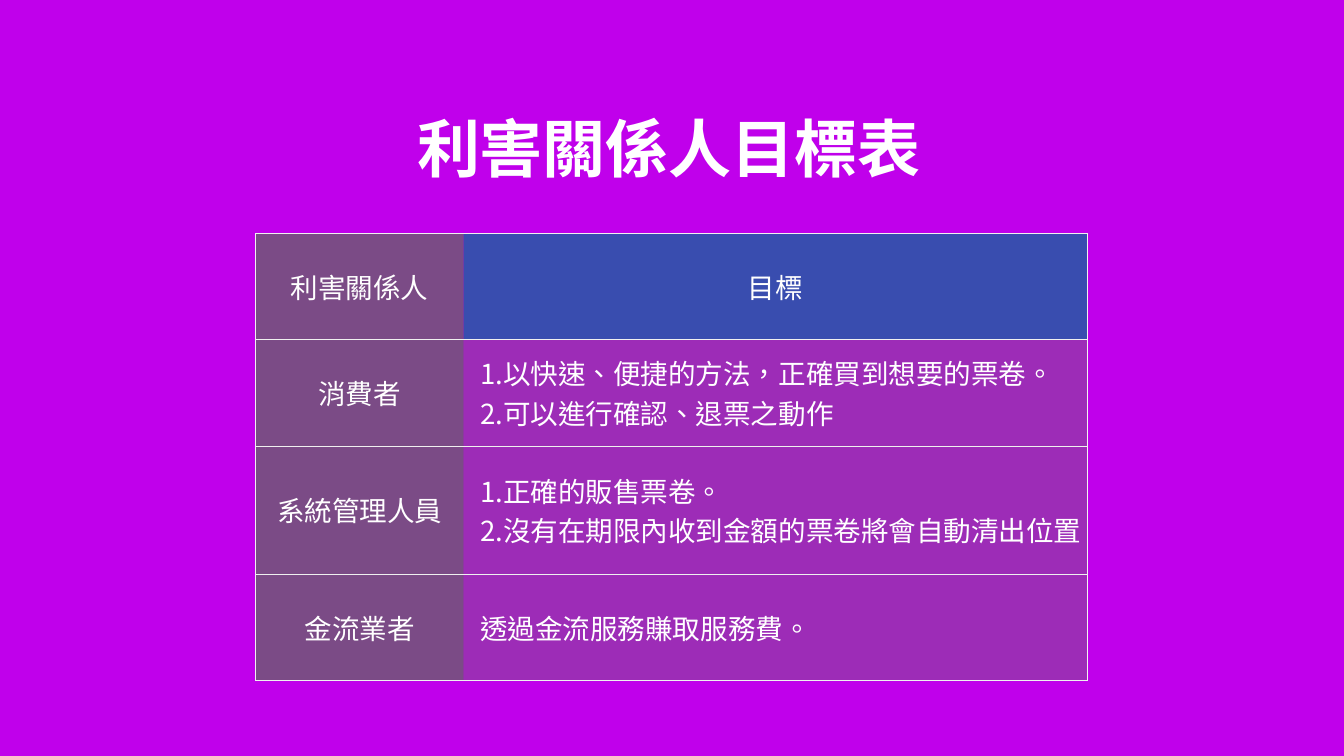
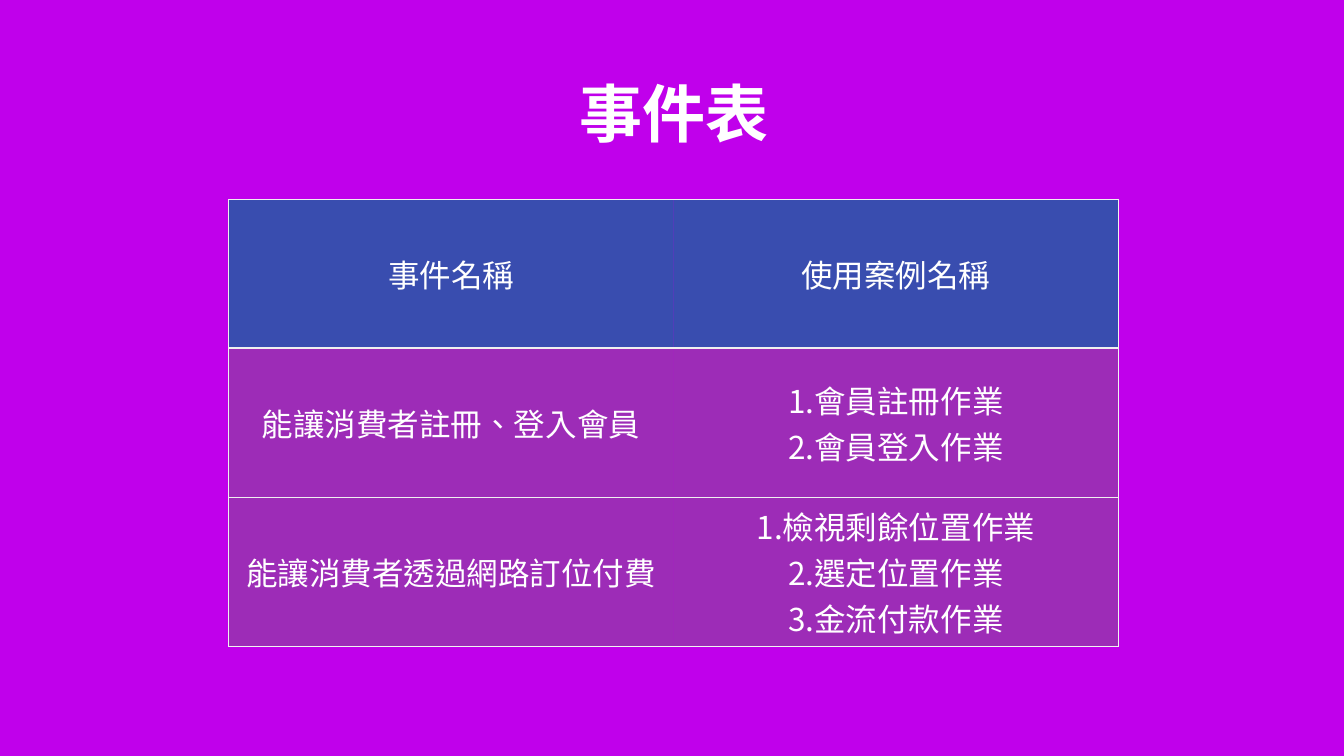
from dataclasses import dataclass

from lxml import etree
from pptx import Presentation
from pptx import util as u
from pptx.dml.color import RGBColor
from pptx.enum import text
from pptx.oxml import ns


# Theme: colours as (hex, opacity in percent), sizes in points
@dataclass(frozen=True)
class Theme:
    back: str = "C000EB"
    ink: str = "FFFFFF"
    rule: str = "F0F0F0"
    head: tuple = ("1861A1", 80)
    side: tuple = ("656565", 75)
    body: tuple = ("6D6D6D", 41)
    title_font: str = "Roboto"
    cell_font: str = "Noto Sans CJK SC"
    title_size: int = 64
    inset: float = 0.16
    first_indent: float = 0.44


THEME = Theme()
SLIDE_SIZE = (48.16, 27.1)
TITLE_SIZE = (31.9, 3.81)

# Content: lengths in centimetres, each cell is a list of lines
SLIDES = [
    {
        "title": "利害關係人目標表", "title_at": (8.02, 3.36),
        "table_at": (9.17, 8.36), "columns": (7.44, 22.35), "row": 3.81,
        "size": 28, "side_column": True,
        "rows": [
            (["利害關係人"], ["目標"]),
            (["消費者"], ["1.以快速、便捷的方法，正確買到想要的票卷。",
                       "2.可以進行確認、退票之動作"]),
            (["系統管理人員"], ["1.正確的販售票卷。",
                          "2.沒有在期限內收到金額的票卷將會自動清出位置"]),
            (["金流業者"], ["透過金流服務賺取服務費。"]),
        ],
    },
    {
        "title": "事件表", "title_at": (8.2, 2.13),
        "table_at": (8.2, 7.14), "columns": (15.93, 15.95), "row": 5.34,
        "size": 32, "side_column": False,
        "rows": [
            (["事件名稱"], ["使用案例名稱"]),
            (["能讓消費者註冊、登入會員"], ["1.會員註冊作業", "2.會員登入作業"]),
            (["能讓消費者透過網路訂位付費"],
             ["1.檢視剩餘位置作業", "2.選定位置作業", "3.金流付款作業"]),
        ],
    },
]


def write(frame, lines, font, size, bold=False, centred=True):
    """Fill a text frame with one paragraph per line."""
    for number, line in enumerate(lines):
        para = frame.add_paragraph() if number else frame.paragraphs[0]
        para.alignment = text.PP_ALIGN.CENTER if centred else text.PP_ALIGN.LEFT
        if not centred:
            props = para._p.get_or_add_pPr()
            props.set("marL", "0")
            props.set("indent", str(u.Cm(THEME.first_indent)))
        span = para.add_run()
        span.text = line
        span.font.name, span.font.size, span.font.bold = font, u.Pt(size), bold
        span.font.color.rgb = RGBColor.from_string(THEME.ink)
        props = span._r.get_or_add_rPr()
        props.set("lang", "zh-TW")
        etree.SubElement(props, ns.qn("a:ea"), typeface=font)


def set_margins(holder):
    for side in ("left", "right", "top", "bottom"):
        setattr(holder, f"margin_{side}", u.Cm(THEME.inset))


def paint(cell, colour, opacity):
    cell.fill.solid()
    cell.fill.fore_color.rgb = RGBColor.from_string(colour)
    shade = cell._tc.tcPr.find(".//" + ns.qn("a:srgbClr"))
    etree.SubElement(shade, ns.qn("a:alpha"), val=str(opacity * 1000))


def set_borders(cell, **widths):
    """Widths in points for L, R, T and B; zero hides the line."""
    for place, (side, width) in enumerate(widths.items()):
        line = etree.Element(ns.qn(f"a:ln{side}"), w=str(u.Pt(width)))
        if width:
            fill = etree.SubElement(line, ns.qn("a:solidFill"))
            etree.SubElement(fill, ns.qn("a:srgbClr"), val=THEME.rule)
        else:
            etree.SubElement(line, ns.qn("a:noFill"))
        cell._tc.tcPr.insert(place, line)


def add_title(page, content):
    box = page.shapes.title
    box.left, box.top = map(u.Cm, content["title_at"])
    box.width, box.height = map(u.Cm, TITLE_SIZE)
    frame = box.text_frame
    frame.auto_size = text.MSO_AUTO_SIZE.NONE
    frame.word_wrap = True
    frame.vertical_anchor = text.MSO_ANCHOR.MIDDLE
    set_margins(frame)
    write(frame, [content["title"]], THEME.title_font, THEME.title_size, bold=True)


def add_goal_table(page, content):
    rows, columns = content["rows"], content["columns"]
    left, top = content["table_at"]
    table = page.shapes.add_table(
        len(rows), len(columns), u.Cm(left), u.Cm(top),
        u.Cm(sum(columns)), u.Cm(content["row"] * len(rows))).table
    table.first_row = table.horz_banding = False
    for column, width in zip(table.columns, columns):
        column.width = u.Cm(width)
    for r, row in enumerate(rows):
        table.rows[r].height = u.Cm(content["row"])
        for c, lines in enumerate(row):
            cell = table.cell(r, c)
            side = content["side_column"] and c == 0
            head = r == 0 and not side
            set_margins(cell)
            cell.vertical_anchor = text.MSO_ANCHOR.MIDDLE
            paint(cell, *(THEME.side if side else THEME.head if head else THEME.body))
            above = 1 if r == 0 else 2 if r == 1 and not side else 0.5
            set_borders(cell, L=int(c == 0), R=int(c == len(columns) - 1),
                        T=above, B=2 if head else 0.5)
            write(cell.text_frame, lines, THEME.cell_font, content["size"],
                  centred=r == 0 or c == 0 or not content["side_column"])


def main():
    deck = Presentation()
    deck.slide_width, deck.slide_height = map(u.Cm, SLIDE_SIZE)
    # Shared background
    fill = deck.slide_master.background.fill
    fill.solid()
    fill.fore_color.rgb = RGBColor.from_string(THEME.back)
    title_only = deck.slide_layouts[5]
    for content in SLIDES:
        page = deck.slides.add_slide(title_only)
        add_title(page, content)
        add_goal_table(page, content)
    deck.save("out.pptx")


if __name__ == "__main__":
    main()
